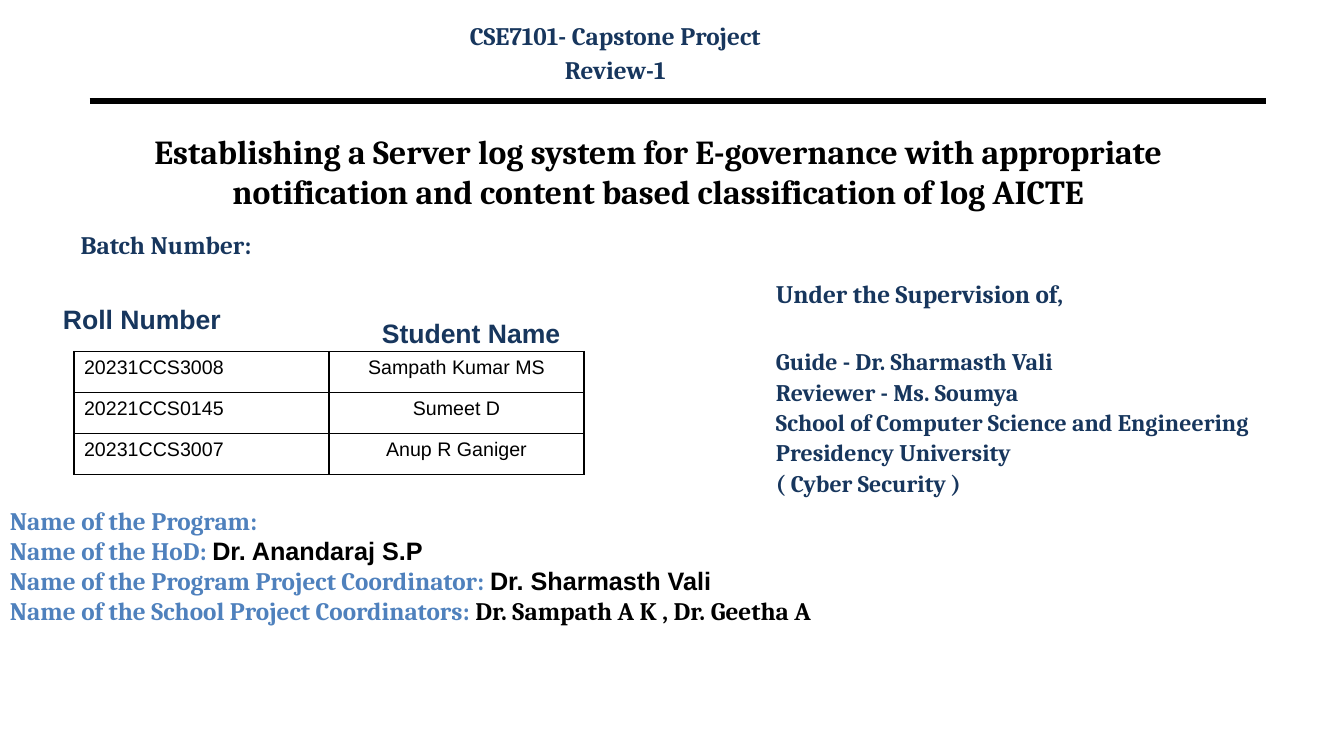
from dataclasses import dataclass

import pptx
import pptx.dml.color
import pptx.enum.shapes
import pptx.enum.text
import pptx.oxml
import pptx.oxml.ns
import pptx.util

Pt = pptx.util.Pt
Align = pptx.enum.text.PP_ALIGN
Anchor = pptx.enum.text.MSO_ANCHOR


@dataclass(frozen=True)
class Theme:
    """Colours, fonts and type sizes of the slide."""
    navy: str = "17365D"
    blue: str = "4F81BD"
    black: str = "000000"
    serif: str = "Cambria"
    sans: str = "Arial"
    title: float = 24
    heading: float = 19
    body: float = 18
    detail: float = 17
    cell: float = 14


THEME = Theme()


def style(font, size, color, name=THEME.serif, bold=True):
    """Set the size, colour, family and weight of a font."""
    font.size, font.name, font.bold = Pt(size), name, bold
    font.color.rgb = pptx.dml.color.RGBColor.from_string(color)


def add_lines(frame, lines, align=Align.LEFT):
    """Write (text, size, space before) lines into a frame in navy and return its paragraphs."""
    frame.word_wrap = True
    for index, (text, size, before) in enumerate(lines):
        para = frame.paragraphs[0] if index == 0 else frame.add_paragraph()
        para.text, para.alignment, para.space_before = text, align, Pt(before)
        style(para.font, size, THEME.navy)
    return frame.paragraphs


def add_text_box(page, box):
    """Add a text box at a box given in points and return its frame."""
    return page.shapes.add_textbox(*map(Pt, box)).text_frame


def fill_placeholder(holder, box, text, size, color, align, anchor):
    """Move a placeholder into its box and write its text."""
    holder.left, holder.top, holder.width, holder.height = map(Pt, box)
    frame = holder.text_frame
    frame.auto_size = pptx.enum.text.MSO_AUTO_SIZE.NONE
    frame.vertical_anchor = anchor
    para = add_lines(frame, [(text, size, 0)], align)[0]
    style(para.font, size, color)


def add_header(page, box):
    """Add the course heading and the rule below it."""
    left, top, width, height = box
    add_lines(add_text_box(page, (left + 159, top, 433, height)),
              [("CSE7101- Capstone Project", THEME.body, 0),
               ("Review-1", THEME.body, 3.1)], Align.CENTER)
    rule = page.shapes.add_connector(
        pptx.enum.shapes.MSO_CONNECTOR.STRAIGHT,
        Pt(left), Pt(top + 61.2), Pt(left + width), Pt(top + 61.2))
    rule.line.width = Pt(4.5)
    rule.line.color.rgb = pptx.dml.color.RGBColor.from_string(THEME.black)
    rule._element.spPr.append(pptx.oxml.parse_xml(
        f'<a:effectLst {pptx.oxml.ns.nsdecls("a")}/>'))


def add_supervision(page, box):
    """Add the supervisor block."""
    details = ["Reviewer - Ms. Soumya", "School of Computer Science and Engineering",
               "Presidency University", "( Cyber Security )"]
    paras = add_lines(add_text_box(page, box), [
        ("Under the Supervision of,", THEME.body, 0),
        ("Guide - Dr. Sharmasth Vali", THEME.detail, 29),
        *((text, THEME.detail, 3.4) for text in details)])
    for para in paras:
        para.line_spacing = 0.9


def add_border(cell):
    """Draw a thin line on all four sides of a cell."""
    for side in ("lnL", "lnR", "lnT", "lnB"):
        cell._tc.get_or_add_tcPr().append(pptx.oxml.parse_xml(
            f'<a:{side} {pptx.oxml.ns.nsdecls("a")} w="12700"><a:solidFill>'
            f'<a:srgbClr val="{THEME.black}"/></a:solidFill></a:{side}>'))


def add_grid(page, box, widths, rows, size, color, bold, bordered):
    """Add an unfilled two-column table with its second column centred."""
    table = page.shapes.add_table(len(rows), len(widths), *map(Pt, box)).table
    table.first_row = table.horz_banding = False
    for column, width in zip(table.columns, widths):
        column.width = Pt(width)
    for row, texts in enumerate(rows):
        for column, text in enumerate(texts):
            cell = table.cell(row, column)
            if bordered:
                add_border(cell)
            cell.fill.background()
            cell.text = text
            para = cell.text_frame.paragraphs[0]
            para.alignment = Align.CENTER if column else Align.LEFT
            style(para.font, size, color, THEME.sans, bold)
    return table


def add_students(page, box):
    """Add the column headings with their open rows and the bordered list of students."""
    left, top, width, height = box
    headings = add_grid(page, (left, top, width, 180), (167, 267),
                        [("Roll Number", "Student Name")] + [("", "")] * 5,
                        THEME.heading, THEME.navy, True, False)
    headings.rows[0].height = Pt(48)
    headings.cell(0, 0).margin_left = Pt(9)
    headings.cell(0, 1).vertical_anchor = Anchor.MIDDLE
    add_grid(page, (left + 16.8, top + 36.5, 364.4, height - 36.5), (182.2, 182.2),
             [("20231CCS3008", "Sampath Kumar MS"),
              ("20221CCS0145", "Sumeet D"),
              ("20231CCS3007", "Anup R Ganiger")],
             THEME.cell, THEME.black, False, True)


def add_programme(page, box):
    """Add the programme roles, each followed by the name of its holder."""
    roles = [("Name of the Program:", "", THEME.serif),
             ("Name of the HoD: ", "Dr. Anandaraj S.P", THEME.sans),
             ("Name of the Program Project Coordinator: ", "Dr. Sharmasth Vali", THEME.sans),
             ("Name of the School Project Coordinators: ",
              "Dr. Sampath A K , Dr. Geetha A", THEME.serif)]
    paras = add_lines(add_text_box(page, box), [(label, THEME.body, 0) for label, _, _ in roles])
    for para, (_, person, family) in zip(paras, roles):
        style(para.runs[0].font, THEME.body, THEME.blue)
        if person:
            span = para.add_run()
            span.text = person
            style(span.font, THEME.body, THEME.black, family)


def build_cover(page):
    """Place every region of the cover slide."""
    add_header(page, (64, 10.8, 840, 57.6))
    title, subtitle = page.placeholders
    fill_placeholder(title, (62, 84.2, 816, 75.6),
                     "Establishing a Server log system for E-governance with appropriate "
                     "notification and content based classification of log AICTE",
                     THEME.title, THEME.black, Align.CENTER, Anchor.MIDDLE)
    fill_placeholder(subtitle, (50.4, 160, 346, 43), "Batch Number:",
                     THEME.body, THEME.navy, Align.LEFT, Anchor.TOP)
    add_supervision(page, (547.2, 198, 434, 159))
    add_students(page, (36, 214.5, 434, 124.3))
    add_programme(page, (0, 357.2, 964.8, 123))


def main():
    """Build and save the deck."""
    deck = pptx.Presentation()
    deck.slide_width, deck.slide_height = Pt(960), Pt(540)
    build_cover(deck.slides.add_slide(deck.slide_layouts[0]))
    deck.save("out.pptx")


if __name__ == "__main__":
    main()
